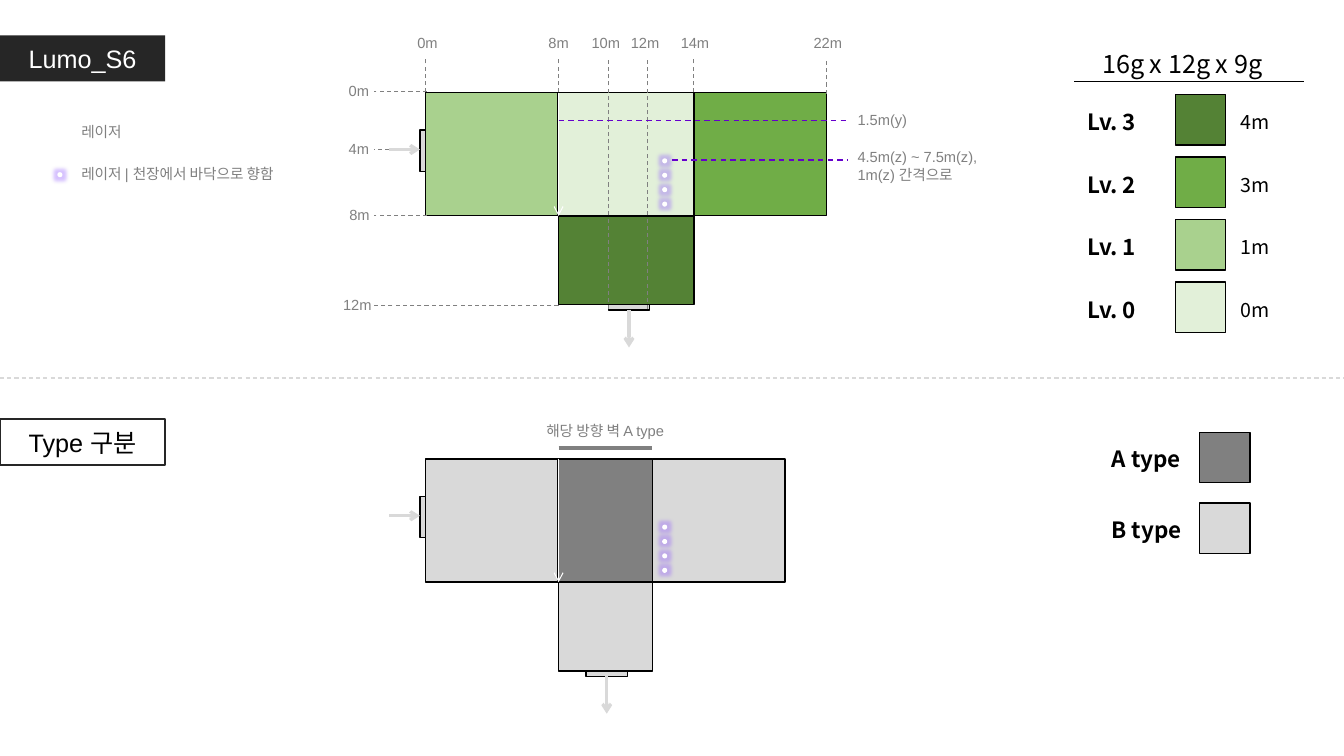
from typing import NamedTuple, Optional

from lxml.etree import SubElement
from pptx import Presentation
from pptx.dml.color import RGBColor
from pptx.enum.dml import MSO_LINE
from pptx.enum.shapes import MSO_CONNECTOR, MSO_SHAPE
from pptx.enum.text import MSO_ANCHOR, PP_ALIGN
from pptx.oxml.ns import qn
from pptx.util import Pt

BLACK = RGBColor(0x00, 0x00, 0x00)
WHITE = RGBColor(0xFF, 0xFF, 0xFF)
CHARCOAL = RGBColor(0x26, 0x26, 0x26)
GREY = RGBColor(0x80, 0x80, 0x80)
LIGHT_GREY = RGBColor(0xD9, 0xD9, 0xD9)
PURPLE = RGBColor(0x66, 0x00, 0xCC)
LEVEL_0 = RGBColor(0xE2, 0xF0, 0xD9)
LEVEL_1 = RGBColor(0xA9, 0xD1, 0x8E)
LEVEL_2 = RGBColor(0x70, 0xAD, 0x47)
LEVEL_3 = RGBColor(0x54, 0x82, 0x35)
GLOW = "9966FF"
ARIAL, NOTO = "Arial", "Noto Sans CJK KR"
WEST, HALL, WING, HALL_HEIGHT, ANNEX_HEIGHT = 304, 399, 94.5, 88, 63.4


class Plan(NamedTuple):
    """A floor plan: its top, middle width, south door and room colours."""
    top: float
    middle: float
    door: float
    west: RGBColor
    hall: RGBColor
    east: RGBColor
    annex: RGBColor


class Tick(NamedTuple):
    """A distance mark: its text, position, label place and line end."""
    text: str
    at: float
    label: float
    end: float


class Level(NamedTuple):
    """One legend row."""
    name: str
    colour: RGBColor
    height: str


PLANS = [
    Plan(66.2, 96.7, 449.3, LEVEL_1, LEVEL_0, LEVEL_2, LEVEL_3),
    Plan(327.8, 67.2, 433.4, LIGHT_GREY, GREY, LIGHT_GREY, LIGHT_GREY),
]
X_TICKS = [
    Tick("0m", 304, 305.3, 66), Tick("8m", 399, 399, 66),
    Tick("10m", 434.7, 432.7, 221), Tick("12m", 462.6, 460.8, 221),
    Tick("14m", 495.5, 496.4, 66), Tick("22m", 590.4, 591.3, 67),
]
Y_TICKS = [
    Tick("0m", 65.5, 256.3, 305), Tick("4m", 106.9, 256.3, 278),
    Tick("8m", 154.1, 256.8, 305), Tick("12m", 218.2, 255.2, 399),
]
LEVELS = [
    Level("Lv. 3", LEVEL_3, "4m"), Level("Lv. 2", LEVEL_2, "3m"),
    Level("Lv. 1", LEVEL_1, "1m"), Level("Lv. 0", LEVEL_0, "0m"),
]
TYPES = [("A type", GREY), ("B type", LIGHT_GREY)]

presentation = Presentation()
presentation.slide_width, presentation.slide_height = Pt(960), Pt(540)
slide = presentation.slides.add_slide(presentation.slide_layouts[5])


def write(shape, text: str, size: float, colour: RGBColor = GREY,
          font: str = ARIAL, bold: bool = False,
          align: PP_ALIGN = PP_ALIGN.LEFT) -> None:
    """Put formatted text in a shape."""
    frame = shape.text_frame
    frame.text = text
    frame.word_wrap = True
    for paragraph in frame.paragraphs:
        paragraph.alignment = align
        paragraph.font.size = Pt(size)
        paragraph.font.name = font
        paragraph.font.bold = bold
        paragraph.font.color.rgb = colour


def add_text(text: str, left: float, top: float, width: float, size: float = 10.5,
             **style) -> None:
    """Add a text box with one style."""
    label = slide.shapes.add_textbox(Pt(left), Pt(top), Pt(width), Pt(size * 1.9))
    write(label, text, size, **style)


def add_area(left: float, top: float, width: float, height: float,
             fill: RGBColor, outline: Optional[RGBColor] = BLACK,
             weight: float = 1, kind: MSO_SHAPE = MSO_SHAPE.RECTANGLE):
    """Add a filled shape."""
    area = slide.shapes.add_shape(kind, Pt(left), Pt(top), Pt(width), Pt(height))
    area.shadow.inherit = False
    area.fill.solid()
    area.fill.fore_color.rgb = fill
    if outline is None:
        area.line.fill.background()
    else:
        area.line.color.rgb = outline
        area.line.width = Pt(weight)
    return area


def add_line(x1: float, y1: float, x2: float, y2: float, colour: RGBColor = GREY,
             weight: float = 0.75, dashed: bool = False, arrow: bool = False) -> None:
    """Add a straight line, dashed or with an arrowhead at its end."""
    line = slide.shapes.add_connector(
        MSO_CONNECTOR.STRAIGHT, Pt(x1), Pt(y1), Pt(x2), Pt(y2))
    line.line.color.rgb = colour
    line.line.width = Pt(weight)
    if dashed:
        line.line.dash_style = MSO_LINE.DASH
    if arrow:
        SubElement(line.line._get_or_add_ln(), qn("a:tailEnd"), type="arrow")
    SubElement(line._element.spPr, qn("a:effectLst"))


def add_laser(left: float, top: float) -> None:
    """Add a glowing white laser dot."""
    dot = add_area(left, top, 3.6, 3.6, WHITE, None, kind=MSO_SHAPE.OVAL)
    effects = dot._element.spPr.find(qn("a:effectLst"))
    glow = SubElement(effects, qn("a:glow"), rad=str(Pt(5)))
    colour = SubElement(glow, qn("a:srgbClr"), val=GLOW)
    SubElement(colour, qn("a:alpha"), val="40000")


def draw_plan(plan: Plan) -> None:
    """Draw the rooms, doors, direction arrows and lasers of a plan."""
    top, bottom = plan.top, plan.top + HALL_HEIGHT
    south = bottom + ANNEX_HEIGHT
    add_area(HALL, bottom, plan.middle, ANNEX_HEIGHT, plan.annex)
    add_area(WEST, top, WING, HALL_HEIGHT, plan.west)
    add_area(HALL + plan.middle, top, WING, HALL_HEIGHT, plan.east)
    add_area(WEST - 4, top + 26.7, 4, 29.5, LIGHT_GREY)
    add_line(278, top + 40.6, 300, top + 40.6, LIGHT_GREY, 2.25, arrow=True)
    add_area(plan.door - 14.75, south, 29.5, 4, LIGHT_GREY)
    add_line(plan.door, south + 3.5, plan.door, south + 30.6, LIGHT_GREY, 2.25, arrow=True)
    add_area(HALL, top, plan.middle, HALL_HEIGHT, plan.hall)
    add_line(HALL, top, HALL, bottom, WHITE, arrow=True)
    for index in range(4):
        add_laser(473, top + 46.9 + 10.3 * index)


badge = slide.shapes.title
badge.left, badge.top, badge.width, badge.height = Pt(0), Pt(25.2), Pt(118), Pt(33)
badge.fill.solid()
badge.fill.fore_color.rgb = CHARCOAL
badge.text_frame.vertical_anchor = MSO_ANCHOR.MIDDLE
write(badge, "Lumo_S6", 18, WHITE, align=PP_ALIGN.CENTER)

type_badge = add_area(0, 299.5, 118, 33, WHITE, CHARCOAL, 1.5)
type_badge.text_frame.vertical_anchor = MSO_ANCHOR.MIDDLE
write(type_badge, "Type 구분", 18, BLACK, align=PP_ALIGN.CENTER)
add_line(0, 270, 960, 270, LIGHT_GREY, dashed=True)

add_text("16g x 12g x 9g", 765.5, 31, 158, 18, colour=BLACK, font=NOTO,
         align=PP_ALIGN.CENTER)
add_line(767.5, 58.3, 931.7, 58.3, BLACK, 1)
for row, level in enumerate(LEVELS):
    y = 67.7 + 44.6 * row
    add_area(839.5, y, 36, 36, level.colour)
    add_text(level.name, 769.7, y + 6.2, 77, 16, colour=BLACK, font=NOTO, bold=True)
    add_text(level.height, 879, y + 7.4, 51, 14, colour=BLACK, font=NOTO)
for row, (name, colour) in enumerate(TYPES):
    y = 308.9 + 50.4 * row
    add_area(856.8, y, 36, 36, colour)
    add_text(name, 787, y + 5.8, 77, 16, colour=BLACK, font=NOTO, bold=True)

for plan in PLANS:
    draw_plan(plan)

for tick in X_TICKS:
    add_text(tick.text, tick.label - 20, 20.6, 40, align=PP_ALIGN.CENTER)
    add_line(tick.at, tick.end, tick.at, 41.5, dashed=True)
for tick in Y_TICKS:
    add_text(tick.text, tick.label - 20, tick.at - 10.4, 40, align=PP_ALIGN.CENTER)
    add_line(tick.end, tick.at, 267, tick.at, dashed=True)

add_line(HALL, 85.9, 605.5, 85.9, PURPLE, 1, dashed=True)
add_line(480, 114.3, 605.5, 114.3, PURPLE, 1, dashed=True)
add_text("1.5m(y)", 605.5, 75.6, 72)
add_text("4.5m(z) ~ 7.5m(z),\n1m(z) 간격으로", 605.5, 102.2, 117)

add_text("레이저", 51, 84.2, 124)
add_line(42.5, 85.7, 42.5, 105.8, WHITE, arrow=True)
add_laser(41, 123)
add_text("레이저 | 천장에서 바닥으로 향함", 51, 114.5, 215)

add_text("해당 방향 벽 A type", 368.6, 298, 127.4, align=PP_ALIGN.CENTER)
add_line(HALL, 319.8, 466, 319.8, weight=3)

presentation.save("out.pptx")
